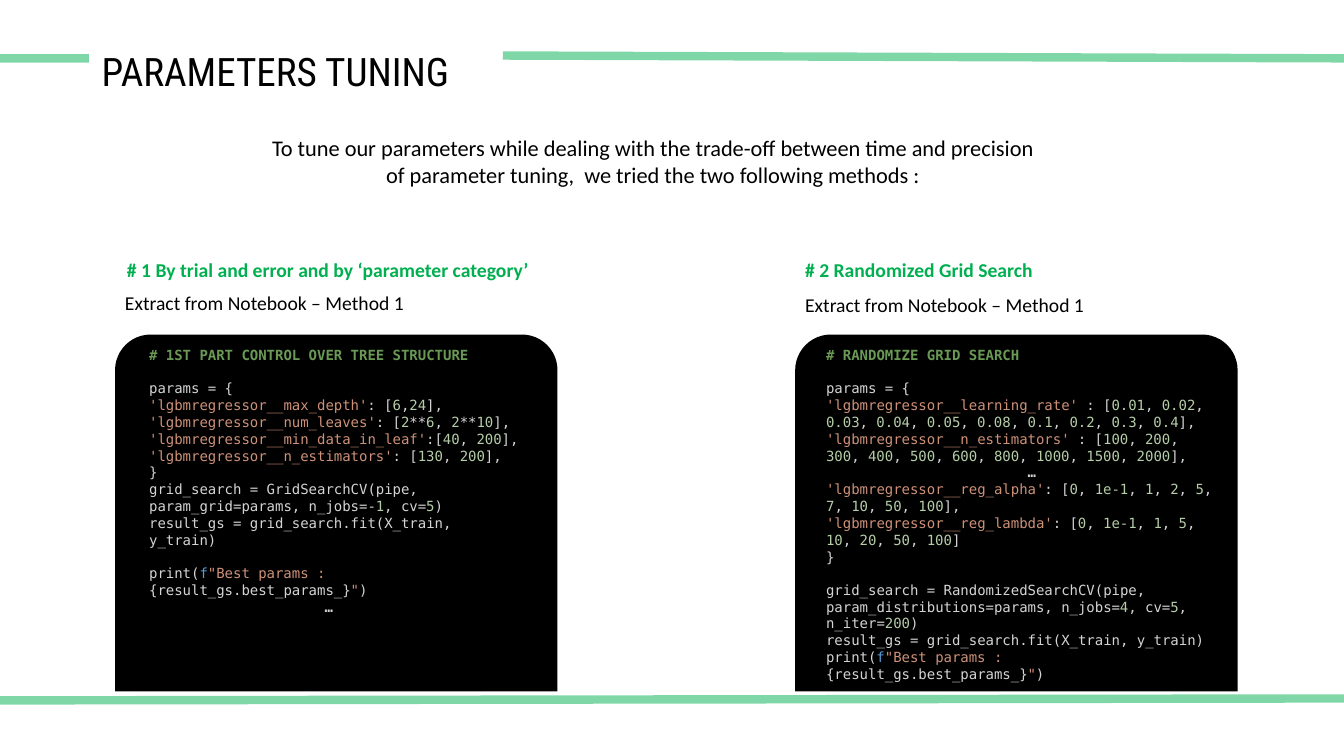
from dataclasses import dataclass
from itertools import groupby

from lxml import etree
from pptx import Presentation
from pptx import util as u
from pptx.dml.color import RGBColor
from pptx.enum import shapes, text
from pptx.oxml import ns


@dataclass(frozen=True)
class Theme:
    black: str = "000000"
    green: str = "00B050"
    comment: str = "6A9955"
    code: str = "D4D4D4"
    string: str = "CE9178"
    number: str = "B5CEA8"
    prefix: str = "569CD6"
    title_font: str = "Roboto Condensed"
    body_font: str = "Calibri"
    code_font: str = "DejaVu Sans Mono"
    title_size: float = 28
    intro_size: float = 16
    label_size: float = 14
    code_size: float = 10
    code_gap: float = 11.7
    rule_width: float = 6
    rule_opacity: int = 49000


def apply(target, values):
    for name, value in values.items():
        setattr(target, name, value)


def place(left, top, width, height):
    return [u.Cm(value) for value in (left, top, width, height)]


class SlideBuilder:
    def __init__(self, slide, theme):
        self.slide = slide
        self.theme = theme

    def add_run(self, paragraph, content, font, size, color, bold=False):
        run = paragraph.add_run()
        run.text = content
        apply(run.font, {"name": font, "size": u.Pt(size), "bold": bold})
        run.font.color.rgb = RGBColor.from_string(color)

    def format_frame(self, frame, wrap=True):
        apply(frame, {
            "word_wrap": wrap,
            "auto_size": text.MSO_AUTO_SIZE.SHAPE_TO_FIT_TEXT,
            "vertical_anchor": text.MSO_ANCHOR.TOP,
        })

    def title(self, content, box):
        shape = self.slide.shapes.title
        apply(shape, dict(zip(("left", "top", "width", "height"), place(*box))))
        self.format_frame(shape.text_frame)
        paragraph = shape.text_frame.paragraphs[0]
        paragraph.alignment = text.PP_ALIGN.LEFT
        self.add_run(paragraph, content, self.theme.title_font,
                     self.theme.title_size, self.theme.black)

    def label(self, content, box, size, color, bold=False, wrap=True,
              alignment=text.PP_ALIGN.LEFT):
        frame = self.slide.shapes.add_textbox(*place(*box)).text_frame
        self.format_frame(frame, wrap)
        paragraph = frame.paragraphs[0]
        paragraph.alignment = alignment
        self.add_run(paragraph, content, self.theme.body_font, size, color, bold)

    def rule(self, start_x, start_y, end_x, end_y):
        connector = self.slide.shapes.add_connector(
            shapes.MSO_CONNECTOR.STRAIGHT, *place(start_x, start_y, end_x, end_y))
        connector.line.width = u.Pt(self.theme.rule_width)
        connector.line.color.rgb = RGBColor.from_string(self.theme.green)
        properties = connector._element.spPr
        color = properties.find(".//" + ns.qn("a:srgbClr"))
        etree.SubElement(color, ns.qn("a:alpha"), val=str(self.theme.rule_opacity))
        etree.SubElement(properties, ns.qn("a:effectLst"))

    def panel(self, box):
        shape = self.slide.shapes.add_shape(
            shapes.MSO_SHAPE.ROUND_2_SAME_RECTANGLE, *place(*box))
        shape.adjustments[0] = 0.1
        shape.shadow.inherit = False
        shape.fill.solid()
        shape.fill.fore_color.rgb = RGBColor.from_string(self.theme.black)
        shape.line.fill.background()

    def code(self, lines, box, gaps, ellipsis_indent):
        frame = self.slide.shapes.add_textbox(*place(*box)).text_frame
        self.format_frame(frame)
        for index, line in enumerate(lines):
            paragraph = frame.add_paragraph() if index else frame.paragraphs[0]
            if index in gaps:
                paragraph.space_before = u.Pt(self.theme.code_gap)
            if line == ELLIPSIS:
                paragraph._p.get_or_add_pPr().set("marL", str(u.Cm(ellipsis_indent)))
            for content, role in line:
                self.add_run(paragraph, content, self.theme.code_font,
                             self.theme.code_size, getattr(self.theme, role),
                             role == "comment" or line == ELLIPSIS)


def plain(content):
    return [(content, "code")]


def parameter(name, opening, values, closing="],"):
    numbers = [("".join(group), "code" if separator else "number")
               for separator, group in groupby(values, lambda mark: mark in "*, ")]
    return [(f"'lgbmregressor__{name}'", "string"), (opening, "code"),
            *numbers, (closing, "code")]


ELLIPSIS = plain("…")
PARAMS = plain("params = {")
CLOSE = plain("}")
FIT = plain("result_gs = grid_search.fit(X_train, y_train)")
PRINT = [("print(", "code"), ("f", "prefix"), ('"Best params : ', "string"),
         ("{result_gs.best_params_}", "code"), ('"', "string"), (")", "code")]

TRIAL_CODE = [
    [("# 1ST PART CONTROL OVER TREE STRUCTURE", "comment")],
    PARAMS,
    parameter("max_depth", ": [", "6,24"),
    parameter("num_leaves", ": [", "2**6, 2**10"),
    parameter("min_data_in_leaf", ":[", "40, 200"),
    parameter("n_estimators", ": [", "130, 200"),
    CLOSE,
    [("grid_search = GridSearchCV(pipe, param_grid=params, n_jobs=-", "code"),
     ("1", "number"), (", cv=", "code"), ("5", "number"), (")", "code")],
    FIT,
    PRINT,
    ELLIPSIS,
]
RANDOM_CODE = [
    [("# RANDOMIZE GRID SEARCH", "comment")],
    PARAMS,
    parameter("learning_rate", " : [",
              "0.01, 0.02, 0.03, 0.04, 0.05, 0.08, 0.1, 0.2, 0.3, 0.4"),
    parameter("n_estimators", " : [",
              "100, 200, 300, 400, 500, 600, 800, 1000, 1500, 2000"),
    ELLIPSIS,
    parameter("reg_alpha", ": [", "0, 1e-1, 1, 2, 5, 7, 10, 50, 100"),
    parameter("reg_lambda", ": [", "0, 1e-1, 1, 5, 10, 20, 50, 100", "]"),
    CLOSE,
    [("grid_search = RandomizedSearchCV(pipe, param_distributions=params, n_jobs=",
      "code"), ("4", "number"), (", cv=", "code"), ("5", "number"),
     (", n_iter=", "code"), ("200", "number"), (")", "code")],
    FIT,
    PRINT,
]


def main():
    theme = Theme()
    presentation = Presentation()
    presentation.slide_width = u.Cm(33.87)
    presentation.slide_height = u.Cm(19.05)
    slide = presentation.slides.add_slide(presentation.slide_layouts[5])
    builder = SlideBuilder(slide, theme)

    for ends in ((0, 1.47, 2.24, 1.47), (12.67, 1.4, 33.87, 1.47),
                 (0, 17.65, 33.87, 17.6)):
        builder.rule(*ends)
    builder.title("PARAMETERS TUNING", (2.31, 1.07, 11.53, 1.45))
    builder.label(
        "To tune our parameters while dealing with the trade-off between time and "
        "precision of parameter tuning,  we tried the two following methods :",
        (6.48, 3.25, 19.96, 1.63), theme.intro_size, theme.black,
        alignment=text.PP_ALIGN.CENTER)

    methods = (
        (2.9, "# 1 By trial and error and by ‘parameter category’",
         (2.95, 6.38, 10.67, 0.86), 7.21,
         TRIAL_CODE, (3.51, 8.61, 9.93, 7.09), (1, 9), 4.42),
        (20.04, "# 2 Randomized Grid Search",
         (20.04, 6.38, 6.3, 0.86), 7.26,
         RANDOM_CODE, (20.57, 8.61, 10.34, 8.81), (1, 8), 5.08),
    )
    for left, heading, heading_box, caption_top, lines, code_box, gaps, indent in methods:
        builder.panel((left, 8.43, 11.15, 8.99))
        builder.label(heading, heading_box, theme.label_size, theme.green,
                      bold=True, wrap=False)
        builder.label("Extract from Notebook – Method 1",
                      (left, caption_top, 7.8, 0.86), theme.label_size, theme.black)
        builder.code(lines, code_box, gaps, indent)

    presentation.save("out.pptx")


if __name__ == "__main__":
    main()
